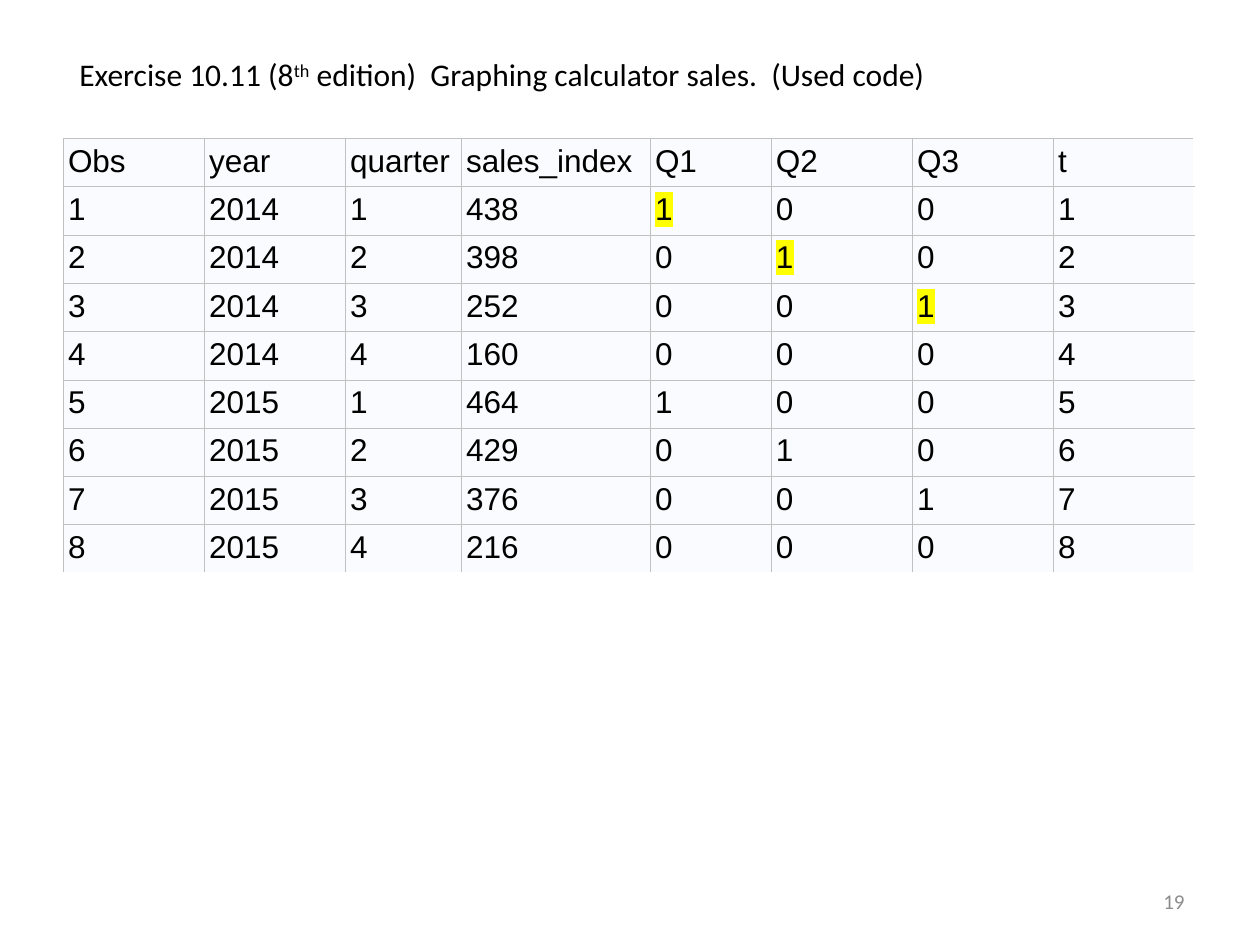
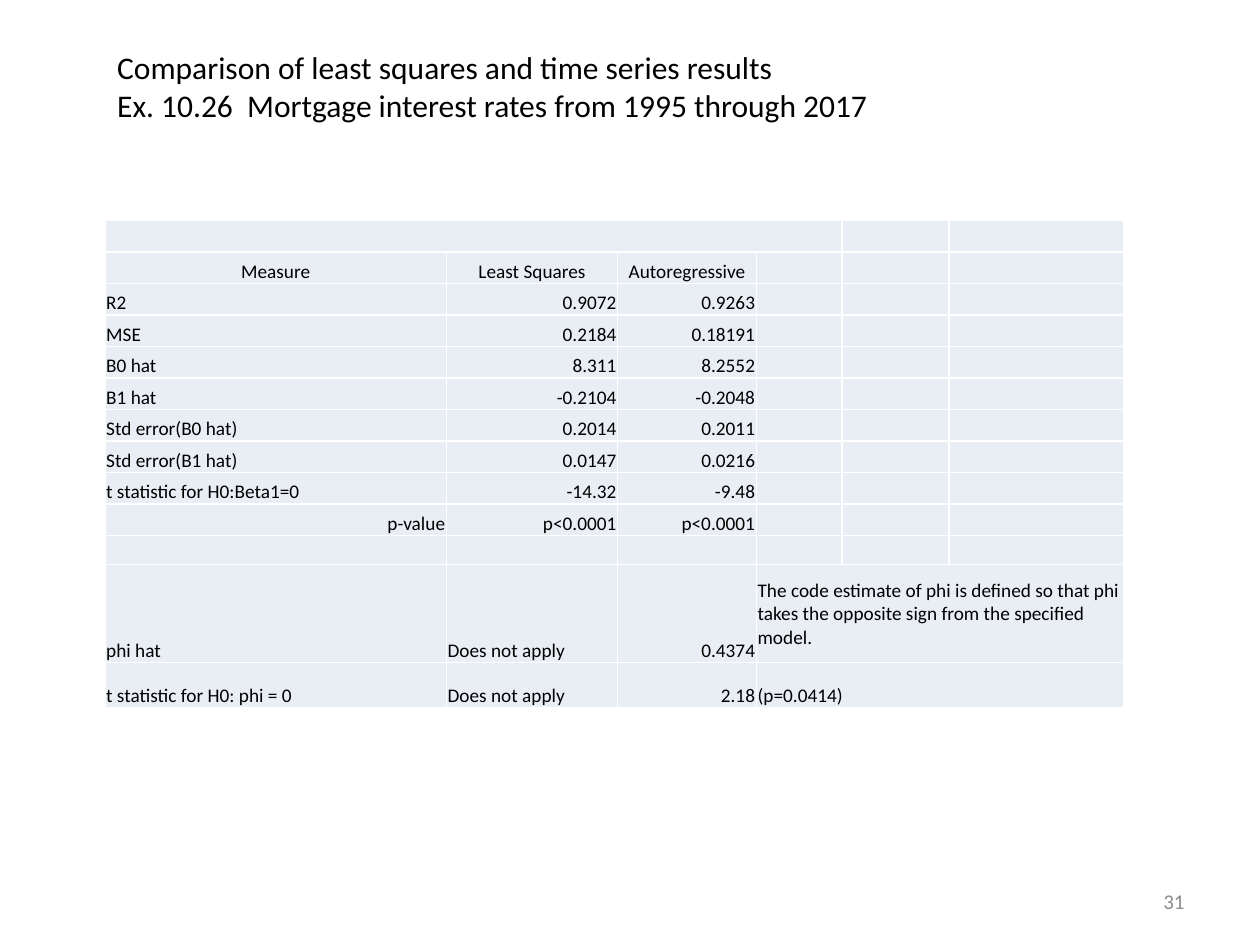
from lxml import etree
from pptx import Presentation
from pptx.dml.color import RGBColor
from pptx.enum.text import MSO_ANCHOR, MSO_AUTO_SIZE, PP_ALIGN
from pptx.oxml.ns import qn
from pptx.util import Inches, Pt

BLACK = RGBColor(0x00, 0x00, 0x00)
WHITE = RGBColor(0xFF, 0xFF, 0xFF)
NUMBER_GREY = RGBColor(0x8C, 0x8C, 0x8C)
BORDER_GREY = RGBColor(0xC1, 0xC1, 0xC1)
SALES_FILL = RGBColor(0xFA, 0xFB, 0xFE)
MEASURE_FILL = RGBColor(0xE9, 0xED, 0xF4)
YELLOW = RGBColor(0xFF, 0xFF, 0x00)

LEFT, CENTER, RIGHT = PP_ALIGN.LEFT, PP_ALIGN.CENTER, PP_ALIGN.RIGHT
TOP, MIDDLE, BOTTOM = MSO_ANCHOR.TOP, MSO_ANCHOR.MIDDLE, MSO_ANCHOR.BOTTOM
GROW = MSO_AUTO_SIZE.SHAPE_TO_FIT_TEXT

deck = Presentation()
deck.slide_width, deck.slide_height = Inches(10), Inches(7.5)
COLUMN, ROW = deck.slide_width // 100, deck.slide_height // 100


def write(para, text, size=18, font="Calibri", color=BLACK, align=LEFT,
          superscript=False, highlight=None):
    para.alignment = align
    if not text:
        etree.SubElement(para._p, qn("a:endParaRPr"), sz=str(size * 100))
        return
    span = para.add_run()
    span.text = text
    span.font.size = Pt(size)
    span.font.color.rgb = color
    span.font.name = font
    properties = span._r.get_or_add_rPr()
    if superscript:
        properties.set("baseline", "30000")
    if highlight:
        mark = etree.Element(qn("a:highlight"))
        etree.SubElement(mark, qn("a:srgbClr"), val=str(highlight))
        properties.insert(1, mark)


def add_grid(page, left, top, widths, heights, fill, line, line_width, margin, open_edges=False):
    table = page.shapes.add_table(
        len(heights), len(widths), round(left * COLUMN), round(top * ROW),
        Inches(sum(widths)), Inches(sum(heights))).table
    table.first_row = table.horz_banding = False
    for column, width in zip(table.columns, widths):
        column.width = Inches(width)
    for row, height in zip(table.rows, heights):
        row.height = Inches(height)
    for r in range(len(heights)):
        for c in range(len(widths)):
            cell = table.cell(r, c)
            cell.margin_left = cell.margin_right = Inches(margin)
            cell.margin_top = cell.margin_bottom = Inches(margin)
            for side in "LRTB":
                last = side == "R" and c == len(widths) - 1 or side == "B" and r == len(heights) - 1
                if open_edges and last:
                    continue
                border = etree.SubElement(cell._tc.get_or_add_tcPr(), qn(f"a:ln{side}"),
                                          w=str(Pt(line_width)))
                paint = etree.SubElement(border, qn("a:solidFill"))
                etree.SubElement(paint, qn("a:srgbClr"), val=str(line))
            cell.fill.solid()
            cell.fill.fore_color.rgb = fill
    return table


titles = [
    (19, (5.3, 5.2, 78.3), [[("Exercise 10.11 (8", False), ("th", True),
                             (" edition)  Graphing calculator sales.  (Used code)", False)]]),
    (31, (8.3, 4.4, 61.7), [[("Comparison of least squares and time series results", False)],
                            [("Ex. 10.26  Mortgage interest rates from 1995 through 2017", False)]]),
]
pages = []
for number, (left, top, width), lines in titles:
    page = deck.slides.add_slide(deck.slide_layouts[5])
    pages.append(page)
    title = page.shapes.title
    title.left, title.top = round(left * COLUMN), round(top * ROW)
    title.width, title.height = round(width * COLUMN), round(9.4 * ROW)
    frame = title.text_frame
    frame.word_wrap = True
    frame.auto_size = GROW
    frame.vertical_anchor = TOP
    for index, spans in enumerate(lines):
        para = frame.add_paragraph() if index else frame.paragraphs[0]
        for text, raised in spans:
            write(para, text, superscript=raised)
    box = page.shapes.add_textbox(round(71.7 * COLUMN), round(92.7 * ROW),
                                  round(23.3 * COLUMN), round(5.3 * ROW))
    box.text_frame.word_wrap = True
    box.text_frame.vertical_anchor = MIDDLE
    write(box.text_frame.paragraphs[0], str(number), size=12, color=NUMBER_GREY, align=RIGHT)

sales_page, measure_page = pages

sales = {2014: [438, 398, 252, 160], 2015: [464, 429, 376, 216]}
sales_rows = [["Obs", "year", "quarter", "sales_index", "Q1", "Q2", "Q3", "t"]]
for year, indexes in sales.items():
    for quarter, index in enumerate(indexes, 1):
        observation = len(sales_rows)
        dummies = [int(quarter == q) for q in (1, 2, 3)]
        sales_rows.append([observation, year, quarter, index, *dummies, observation])

sales_table = add_grid(sales_page, 5, 14.67, [1.12, 1.12, 0.92, 1.5, 0.96, 1.12, 1.12, 1.12],
                       [3.45 / 9] * 9, SALES_FILL, BORDER_GREY, 0.6, 0.04, open_edges=True)
for r, values in enumerate(sales_rows):
    for c, value in enumerate(values):
        marked = r in (1, 2, 3) and c == r + 3
        write(sales_table.cell(r, c).text_frame.paragraphs[0], str(value), font="Arial",
              highlight=YELLOW if marked else None)

measure_rows = [
    [],
    ["Measure", "Least Squares", "Autoregressive"],
    ["R2", "0.9072", "0.9263"],
    ["MSE", "0.2184", "0.18191"],
    ["B0 hat", "8.311", "8.2552"],
    ["B1 hat", "-0.2104", "-0.2048"],
    ["Std error(B0 hat)", "0.2014", "0.2011"],
    ["Std error(B1 hat)", "0.0147", "0.0216"],
    ["t statistic for H0:Beta1=0", "-14.32", "-9.48"],
    ["p-value", "p<0.0001", "p<0.0001"],
    [],
    ["phi hat", "Does not apply", "0.4374",
     "The code estimate of phi is defined so that phi takes the opposite sign "
     "from the specified model."],
    ["t statistic for H0: phi = 0", "Does not apply", "2.18", "(p=0.0414)"],
]
measure_table = add_grid(measure_page, 8.33, 23.33, [2.71, 1.36, 1.1, 0.68, 0.85, 1.39],
                         [0.25] * 10 + [0.23, 0.78, 0.36], MEASURE_FILL, WHITE, 1, 0.01)
for r, values in enumerate(measure_rows):
    for c in range(6):
        text = values[c] if c < len(values) else ""
        if r == 1:
            align = CENTER
        elif text == "p-value" or c in (1, 2) and text != "Does not apply":
            align = RIGHT
        else:
            align = LEFT
        cell = measure_table.cell(r, c)
        cell.margin_bottom = 0
        cell.vertical_anchor = MIDDLE if (r, c) == (11, 3) else BOTTOM
        write(cell.text_frame.paragraphs[0], text, size=11, align=align)
for r, first, last in [(0, 0, 3), (11, 3, 5), (12, 3, 5)]:
    measure_table.cell(r, first).merge(measure_table.cell(r, last))

deck.save("out.pptx")
